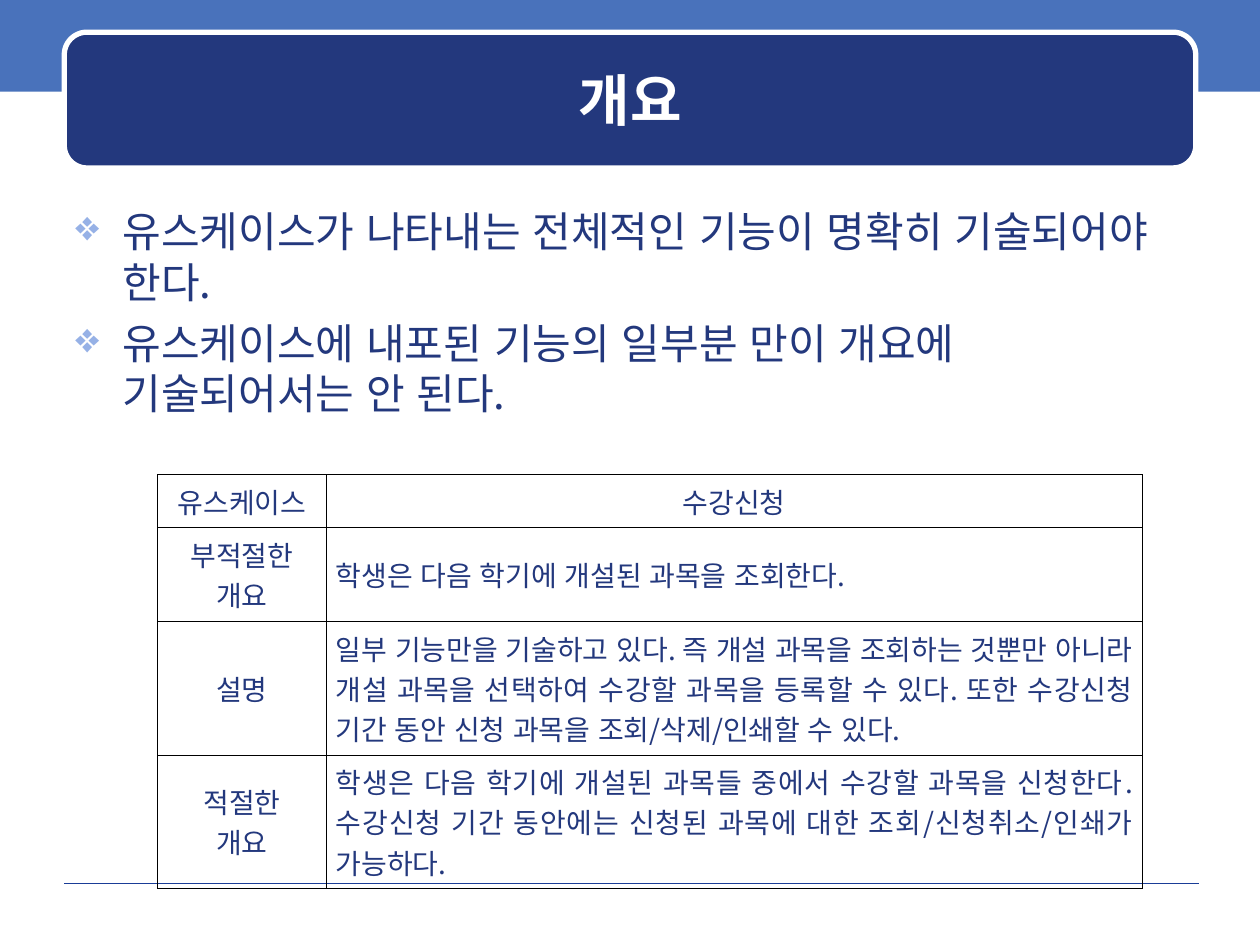
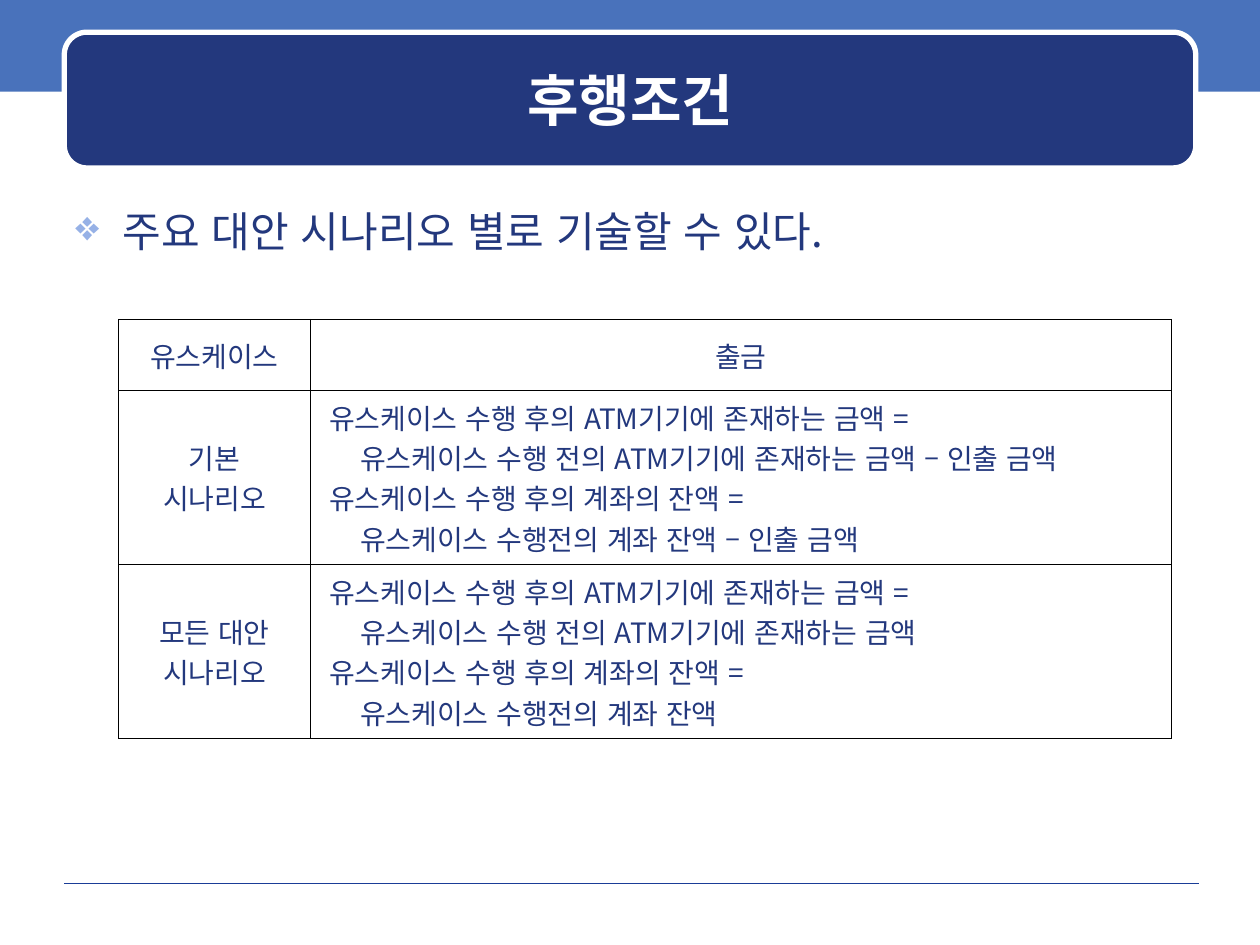
import pptx
import pptx.dml.color
import pptx.enum.lang
import pptx.enum.shapes
import pptx.enum.text
import pptx.oxml
import pptx.oxml.ns
import pptx.util
from lxml import etree

Pt = pptx.util.Pt
RGBColor = pptx.dml.color.RGBColor
Align = pptx.enum.text.PP_ALIGN
Anchor = pptx.enum.text.MSO_ANCHOR
Shape = pptx.enum.shapes.MSO_SHAPE
qn = pptx.oxml.ns.qn

NAVY = RGBColor(0x23, 0x38, 0x7D)
BAND_BLUE = RGBColor(0x49, 0x72, 0xBB)
RULE_BLUE = RGBColor(0x1A, 0x3D, 0x97)
BULLET_BLUE = RGBColor(0x96, 0xB1, 0xE6)
WHITE = RGBColor(0xFF, 0xFF, 0xFF)
BLACK = RGBColor(0, 0, 0)
FONT = "Noto Sans CJK KR"
BULLET_FONT = "OpenSymbol"


def add_solid_fill(parent, color):
    fill = etree.SubElement(parent, qn("a:solidFill"))
    etree.SubElement(fill, qn("a:srgbClr"), val=str(color))


def add_bullet(paragraph, indent):
    properties = paragraph._p.get_or_add_pPr()
    properties.set("marL", str(Pt(indent)))
    properties.set("indent", str(-Pt(indent)))
    color = etree.SubElement(properties, qn("a:buClr"))
    etree.SubElement(color, qn("a:srgbClr"), val=str(BULLET_BLUE))
    etree.SubElement(properties, qn("a:buFont"), typeface=BULLET_FONT)
    etree.SubElement(properties, qn("a:buChar"), char="❖")


def add_borders(cell, width):
    properties = cell._tc.get_or_add_tcPr()
    for side in ("a:lnL", "a:lnR", "a:lnT", "a:lnB"):
        add_solid_fill(etree.SubElement(properties, qn(side), w=str(Pt(width))), BLACK)


def write(paragraph, text, size=16, color=NAVY, bold=False, align=Align.LEFT, indent=0):
    paragraph.alignment = align
    if indent:
        paragraph._p.get_or_add_pPr().set("marL", str(Pt(indent)))
    run = paragraph.add_run()
    run.text = text
    font = run.font
    font.size, font.bold, font.name = Pt(size), bold, FONT
    font.color.rgb = color
    font.language_id = pptx.enum.lang.MSO_LANGUAGE_ID.KOREAN
    etree.SubElement(run._r.get_or_add_rPr(), qn("a:ea"), typeface=FONT)


def paragraphs(frame, count):
    """Yield count paragraphs, beginning with the one the frame already has."""
    yield frame.paragraphs[0]
    for _ in range(count - 1):
        yield frame.add_paragraph()


class Deck:
    def __init__(self):
        self.presentation = pptx.Presentation()
        self.presentation.slide_width = Pt(720)
        self.presentation.slide_height = Pt(540)
        self.slide = None

    def start_slide(self, title):
        layout = self.presentation.slide_layouts.get_by_name("Title Only")
        self.slide = self.presentation.slides.add_slide(layout)
        self.block(Shape.RECTANGLE, 0, -2.2, 720, 54.6, BAND_BLUE)
        self.rule(36.7, 504.7, 684.9)
        panel = self.block(Shape.ROUNDED_RECTANGLE, 36.7, 18.4, 646.6, 77.6, NAVY)
        panel.adjustments[0] = 0.167
        panel.line.color.rgb = WHITE
        panel.line.width = Pt(3)
        self.title(title)

    def block(self, kind, left, top, width, height, color):
        block = self.slide.shapes.add_shape(kind, Pt(left), Pt(top), Pt(width), Pt(height))
        block.shadow.inherit = False
        block.fill.solid()
        block.fill.fore_color.rgb = color
        block.line.fill.background()
        return block

    def rule(self, left, top, right):
        rule = self.slide.shapes.add_connector(
            pptx.enum.shapes.MSO_CONNECTOR.STRAIGHT, Pt(left), Pt(top), Pt(right), Pt(top))
        rule.line.color.rgb = RULE_BLUE
        rule.line.width = Pt(0.1)
        etree.SubElement(rule._element.spPr, qn("a:effectLst"))

    def title(self, text):
        title = self.slide.shapes.title
        title.left, title.top, title.width, title.height = Pt(43.2), Pt(25), Pt(634.2), Pt(63.5)
        frame = title.text_frame
        frame.auto_size = pptx.enum.text.MSO_AUTO_SIZE.NONE
        frame.vertical_anchor = Anchor.MIDDLE
        write(frame.paragraphs[0], text, size=32, color=WHITE, bold=True, align=Align.CENTER)
        # Bring the title in front of its panel
        self.slide.shapes._spTree.append(title._element)

    def bullets(self, *points):
        body = self.slide.shapes.add_textbox(Pt(36), Pt(114), Pt(648), Pt(384))
        frame = body.text_frame
        frame.word_wrap = True
        for number, (paragraph, point) in enumerate(zip(paragraphs(frame, len(points)), points)):
            add_bullet(paragraph, 27)
            paragraph.space_before = Pt(6 if number else 0)
            write(paragraph, point, size=24)

    def table(self, left, top, widths, heights, rows, margin):
        """Each cell is a list of lines; a line is a text or a (text, indent) pair."""
        table = self.slide.shapes.add_table(
            len(rows), len(widths), Pt(left), Pt(top), Pt(sum(widths)), Pt(sum(heights))).table
        table.first_row = table.horz_banding = False
        for column, width in zip(table.columns, widths):
            column.width = Pt(width)
        for row, height in zip(table.rows, heights):
            row.height = Pt(height)
        for row_number, row in enumerate(rows):
            for column_number, lines in enumerate(row):
                centred = row_number == 0 or column_number == 0
                self.fill_cell(table.cell(row_number, column_number), lines, margin,
                               Align.CENTER if centred else Align.JUSTIFY)

    def fill_cell(self, cell, lines, margin, align):
        add_borders(cell, 0.45)
        cell.fill.background()
        cell.vertical_anchor = Anchor.MIDDLE
        cell.margin_left = cell.margin_right = Pt(margin)
        cell.margin_top = cell.margin_bottom = Pt(3.6)
        for paragraph, line in zip(paragraphs(cell.text_frame, len(lines)), lines):
            text, indent = (line, 0) if isinstance(line, str) else line
            write(paragraph, text, align=align, indent=indent)


def balance_equations(deduction=""):
    """Lines stating the cash and the account balance after the use case."""
    step = 17.7
    return ["유스케이스 수행 후의 ATM기기에 존재하는 금액 =",
            ("유스케이스 수행 전의 ATM기기에 존재하는 금액" + deduction, step),
            "유스케이스 수행 후의 계좌의 잔액 =",
            ("유스케이스 수행전의 계좌 잔액" + deduction, step)]


def main():
    deck = Deck()

    deck.start_slide("개요")
    deck.bullets("유스케이스가 나타내는 전체적인 기능이 명확히 기술되어야 한다.",
                 "유스케이스에 내포된 기능의 일부분 만이 개요에 기술되어서는 안 된다.")
    overview = [
        (["유스케이스"], ["수강신청"]),
        (["부적절한", "개요"], ["학생은 다음 학기에 개설된 과목을 조회한다."]),
        (["설명"], ["일부 기능만을 기술하고 있다. 즉 개설 과목을 조회하는 것뿐만 아니라 "
                   "개설 과목을 선택하여 수강할 과목을 등록할 수 있다. 또한 수강신청 기간 "
                   "동안 신청 과목을 조회/삭제/인쇄할 수 있다."]),
        (["적절한", "개요"], ["학생은 다음 학기에 개설된 과목들 중에서 수강할 과목을 신청한다. "
                          "수강신청 기간 동안에는 신청된 과목에 대한 조회/신청취소/인쇄가 "
                          "가능하다."]),
    ]
    deck.table(90, 271.2, [96.5, 466.2], [30.2, 53.7, 76.3, 76.3], overview, margin=5.4)

    deck.start_slide("후행조건")
    deck.bullets("주요 대안 시나리오 별로 기술할 수 있다.")
    postconditions = [
        (["유스케이스"], ["출금"]),
        (["기본", "시나리오"], balance_equations(" – 인출 금액")),
        (["모든 대안", "시나리오"], balance_equations()),
    ]
    deck.table(67.7, 182.4, [109.7, 492], [40.8, 99.4, 99.4], postconditions, margin=10.8)

    deck.presentation.save("out.pptx")


if __name__ == "__main__":
    main()
